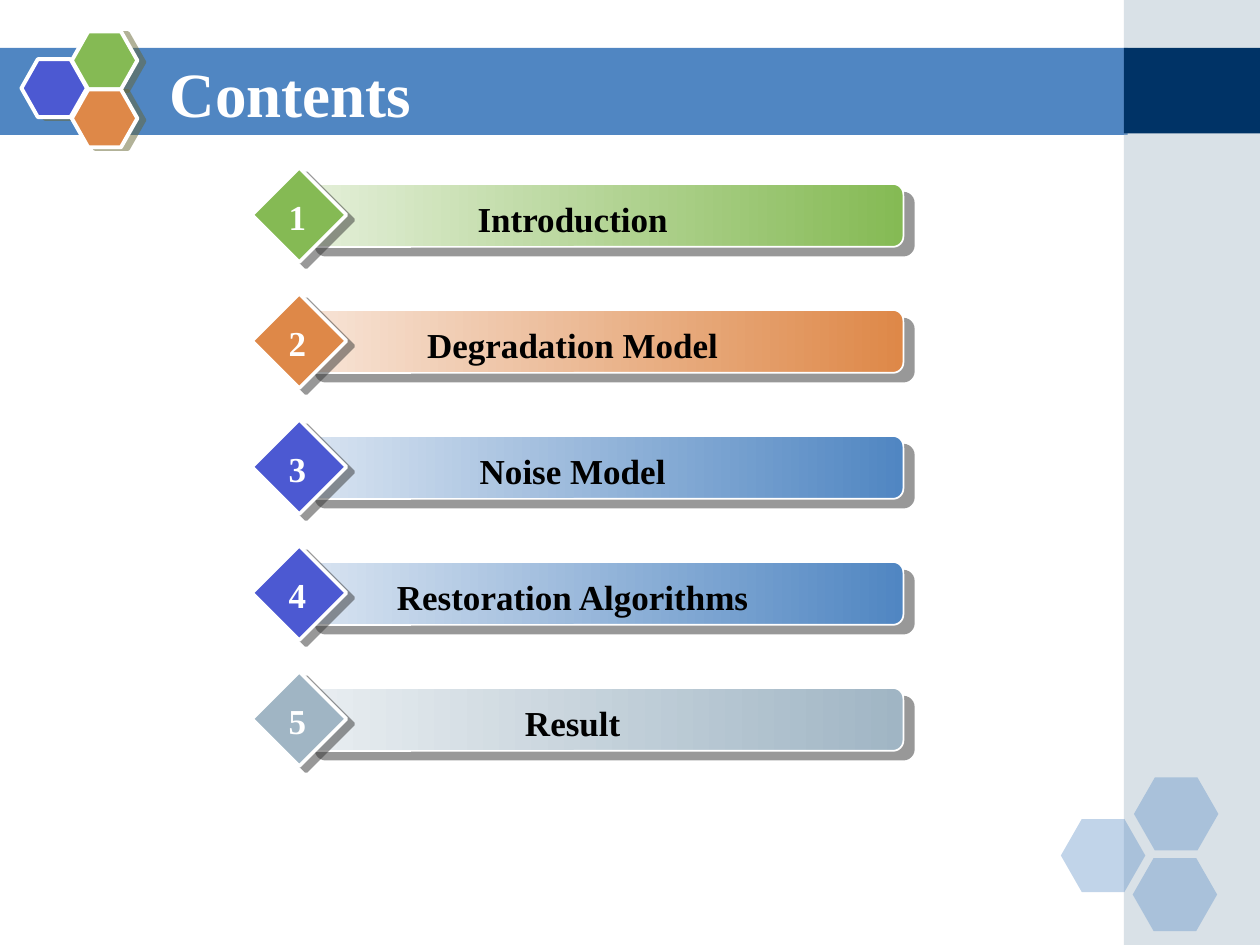
from lxml import etree
from pptx import Presentation
from pptx.dml.color import RGBColor
from pptx.enum.shapes import MSO_SHAPE as Shape
from pptx.enum.text import MSO_ANCHOR as Anchor, PP_ALIGN as Align
from pptx.oxml.ns import qn
from pptx.util import Inches, Pt

COLORS = {
    "white": "FFFFFF", "black": "000000", "navy": "003366",
    "blue": "5086C2", "pale_blue": "D9E4F1", "indigo": "4C59D2",
    "green": "85BA54", "pale_green": "E4EFD9",
    "orange": "DE8848", "pale_orange": "F7E4D7",
    "gray": "A0B5C4", "pale_gray": "E9EEF1",
    "olive_shadow": "666633", "dark_shadow": "333333",
}
FONT = "Times New Roman"
TITLE = "Contents"
TOPICS = [
    ("Introduction", "green", "green", "pale_green"),
    ("Degradation Model", "orange", "orange", "pale_orange"),
    ("Noise Model", "indigo", "blue", "pale_blue"),
    ("Restoration Algorithms", "indigo", "blue", "pale_blue"),
    ("Result", "gray", "gray", "pale_gray"),
]
BANDS = [
    ((0, 0.38, 8.95, 0.69), "blue", 100),
    ((8.92, 0, 1.08, 7.5), "gray", 40),
    ((8.92, 0.38, 1.08, 0.68), "navy", 100),
]
CORNER_HEXAGONS = [(8.42, 6.5), (9, 6.17), (8.99, 6.81)]
LOGO_HEXAGONS = [(0.17, 0.47, "indigo"), (0.57, 0.25, "green"), (0.57, 0.71, "orange")]
FIRST_TOP, ROW_STEP = 1.33, 1


def rgb(name):
    return RGBColor.from_string(COLORS[name])


def add_alpha(color, percent):
    etree.SubElement(color, qn("a:alpha"), val=str(percent * 1000))


def add_shadow(shape, name, distance, angle):
    effects = shape._element.spPr.find(qn("a:effectLst"))
    shadow = etree.SubElement(
        effects, qn("a:outerShdw"), dist=str(Pt(distance)),
        dir=str(angle * 60000), algn="ctr", rotWithShape="0")
    add_alpha(etree.SubElement(shadow, qn("a:srgbClr"), val=COLORS[name]), 50)


def add_shape(slide, kind, box, fill, opacity=100, outline=0, adjust=None):
    shape = slide.shapes.add_shape(kind, *map(Inches, box))
    shape.shadow.inherit = False
    shape.fill.solid()
    shape.fill.fore_color.rgb = rgb(fill)
    if opacity < 100:
        add_alpha(shape._element.spPr.find(qn("a:solidFill"))[0], opacity)
    if outline:
        shape.line.color.rgb = rgb("white")
        shape.line.width = Pt(outline)
    else:
        shape.line.fill.background()
    if adjust is not None:
        shape.adjustments[0] = adjust
    return shape


def add_text(slide, text, box, size, color, align=Align.CENTER, anchor=Anchor.TOP, wrap=True):
    frame = slide.shapes.add_textbox(*map(Inches, box)).text_frame
    frame.word_wrap = wrap
    frame.vertical_anchor = anchor
    frame.text = text
    paragraph = frame.paragraphs[0]
    paragraph.alignment = align
    font = paragraph.runs[0].font
    font.name, font.size, font.bold = FONT, Pt(size), True
    font.color.rgb = rgb(color)


def add_topic(slide, number, topic, top):
    label, marker_color, strong, pale = topic
    bar = add_shape(slide, Shape.ROUNDED_RECTANGLE, (2.42, top + 0.13, 4.75, 0.5),
                    strong, outline=1, adjust=0.167)
    bar.fill.gradient()
    bar.fill.gradient_angle = 180
    for stop, position, color in zip(bar.fill.gradient_stops, (0, 1), (strong, pale)):
        stop.position = position
        stop.color.rgb = rgb(color)
    add_shadow(bar, "dark_shadow", 7.8, 40)
    marker = add_shape(slide, Shape.DIAMOND, (2, top, 0.75, 0.75), marker_color, outline=2)
    add_shadow(marker, "dark_shadow", 5, 37)
    add_text(slide, label, (2.67, top + 0.19, 3.75, 0.44), 20, "black")
    add_text(slide, str(number), (2.19, top + 0.17, 0.34, 0.44), 20, "white", wrap=False)


def main():
    deck = Presentation()
    deck.slide_width, deck.slide_height = Inches(10), Inches(7.5)
    slide = deck.slides.add_slide(deck.slide_layouts[6])

    for box, color, opacity in BANDS:
        add_shape(slide, Shape.RECTANGLE, box, color, opacity)
    for left, top in CORNER_HEXAGONS:
        add_shape(slide, Shape.HEXAGON, (left, top, 0.67, 0.58), "blue", 35, adjust=0.286)
    for left, top, color in LOGO_HEXAGONS:
        hexagon = add_shape(slide, Shape.HEXAGON, (left, top, 0.52, 0.46), color,
                            outline=2.25, adjust=0.283)
        add_shadow(hexagon, "olive_shadow", 4.1, 14)

    add_text(slide, TITLE, (1.25, 0.42, 7.33, 0.62), 36, "white", Align.LEFT, Anchor.MIDDLE)
    for index, topic in enumerate(TOPICS):
        add_topic(slide, index + 1, topic, FIRST_TOP + index * ROW_STEP)

    deck.save("out.pptx")


if __name__ == "__main__":
    main()
